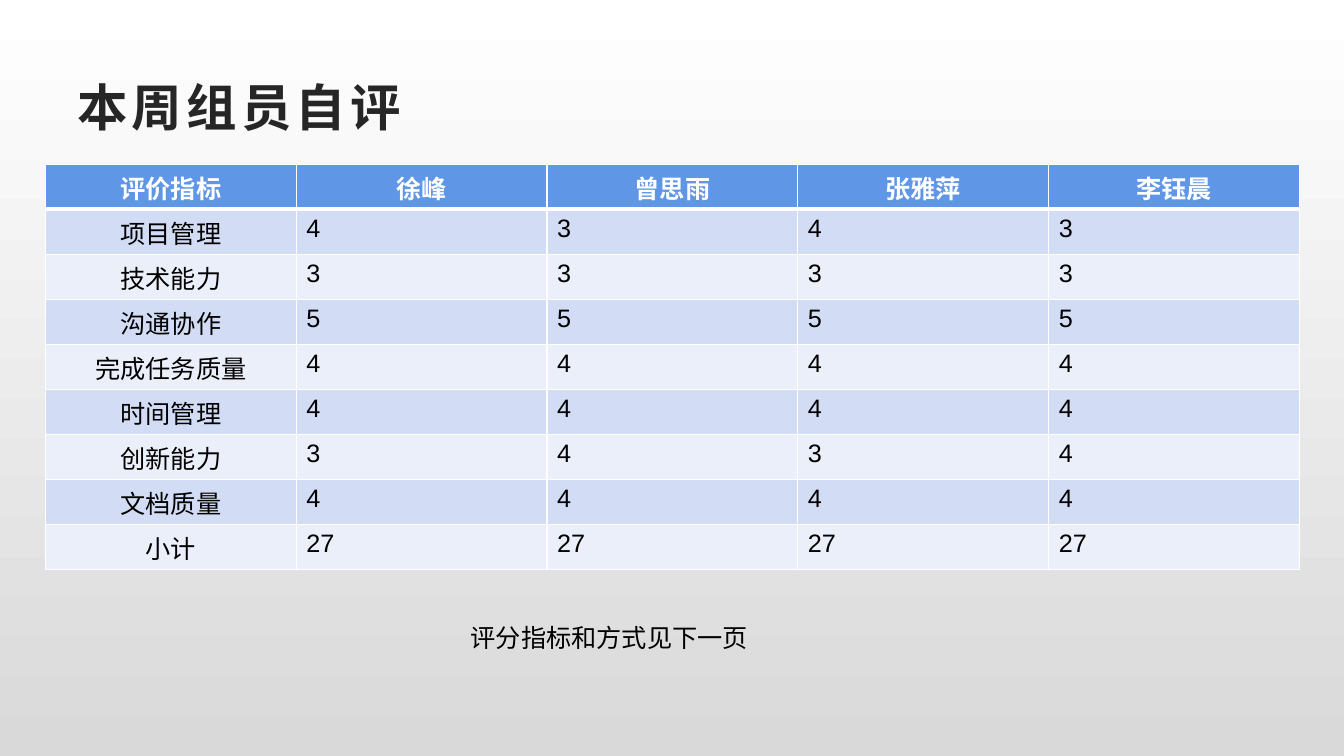
"""Build the weekly self-assessment slide with its score table."""
import lxml.etree
import pptx
import pptx.dml.color
import pptx.enum.text
import pptx.oxml.ns
import pptx.util

TITLE = "本周组员自评"
NOTE = "评分指标和方式见下一页"
SCORES = [
    ("评价指标", "徐峰", "曾思雨", "张雅萍", "李钰晨"),
    ("项目管理", 4, 3, 4, 3),
    ("技术能力", 3, 3, 3, 3),
    ("沟通协作", 5, 5, 5, 5),
    ("完成任务质量", 4, 4, 4, 4),
    ("时间管理", 4, 4, 4, 4),
    ("创新能力", 3, 4, 3, 4),
    ("文档质量", 4, 4, 4, 4),
    ("小计", 27, 27, 27, 27),
]

Inches, Pt = pptx.util.Inches, pptx.util.Pt
RGBColor = pptx.dml.color.RGBColor
ALIGN = pptx.enum.text.PP_ALIGN
ANCHOR = pptx.enum.text.MSO_ANCHOR
AUTO_SIZE = pptx.enum.text.MSO_AUTO_SIZE
qn = pptx.oxml.ns.qn

WHITE = RGBColor(0xFF, 0xFF, 0xFF)
BLACK = RGBColor(0x00, 0x00, 0x00)
CHARCOAL = RGBColor(0x26, 0x26, 0x26)
SILVER = RGBColor(0xD9, 0xD9, 0xD9)
HEADER_BLUE = RGBColor(0x60, 0x96, 0xE6)
BANDS = (RGBColor(0xEA, 0xEF, 0xFA), RGBColor(0xD2, 0xDD, 0xF5))

SLIDE_SIZE = (13.33, 7.5)
TITLE_AREA = (0.67, 0.67, 12, 0.77)
TABLE_AREA = (0.45, 1.63, 12.44, 4.02)
NOTE_AREA = (4.57, 6.12, 3.92, 0.4)

TITLE_FONT = {"name": "Arial", "size": Pt(36), "bold": True}
HEADER_FONT = {"name": "Arial", "size": Pt(18), "bold": True}
BODY_FONT = {"name": "Arial", "size": Pt(18), "bold": False}
TITLE_FRAME = {"word_wrap": True, "vertical_anchor": ANCHOR.MIDDLE}
NOTE_FRAME = {"word_wrap": True, "auto_size": AUTO_SIZE.SHAPE_TO_FIT_TEXT}
LETTER_SPACING = 3
THIN, THICK = 1, 3


def apply(target, values):
    for name, value in values.items():
        setattr(target, name, value)


def write(frame, text, font, color, align=ALIGN.LEFT):
    para = frame.paragraphs[0]
    para.alignment = align
    span = para.add_run()
    span.text = str(text)
    apply(span.font, font)
    span.font.color.rgb = color
    return span


def add_text(page, area, text, font, color, frame_values):
    box = page.shapes.add_textbox(*map(Inches, area))
    apply(box.text_frame, frame_values)
    return write(box.text_frame, text, font, color)


def add_borders(cell, widths):
    properties = cell._tc.get_or_add_tcPr()
    for position, (side, width) in enumerate(widths.items()):
        line = lxml.etree.Element(qn(f"a:{side}"), w=str(Pt(width)))
        fill = lxml.etree.SubElement(line, qn("a:solidFill"))
        lxml.etree.SubElement(fill, qn("a:srgbClr"), val=str(WHITE))
        properties.insert(position, line)


def add_scores(page):
    row_count, column_count = len(SCORES), len(SCORES[0])
    area = map(Inches, TABLE_AREA)
    table = page.shapes.add_table(row_count, column_count, *area).table
    for column in table.columns:
        column.width = Inches(TABLE_AREA[2] / column_count)
    for row in table.rows:
        row.height = Inches(TABLE_AREA[3] / row_count)
    for i, values in enumerate(SCORES):
        header = i == 0
        font, color = (HEADER_FONT, WHITE) if header else (BODY_FONT, BLACK)
        for j, value in enumerate(values):
            cell = table.cell(i, j)
            cell.fill.solid()
            cell.fill.fore_color.rgb = HEADER_BLUE if header else BANDS[i % 2]
            align = ALIGN.CENTER if header or j == 0 else ALIGN.LEFT
            write(cell.text_frame, value, font, color, align)
            add_borders(cell, {"lnL": THIN, "lnR": THIN,
                               "lnT": THICK if i == 1 else THIN,
                               "lnB": THICK if header else THIN})


def paint_background(page):
    fill = page.background.fill
    fill.gradient()
    fill.gradient_angle = 270
    for stop, color in zip(fill.gradient_stops, (WHITE, SILVER)):
        stop.color.rgb = color


def main():
    deck = pptx.Presentation()
    deck.slide_width, deck.slide_height = map(Inches, SLIDE_SIZE)
    page = deck.slides.add_slide(deck.slide_layouts[6])
    paint_background(page)
    title = add_text(page, TITLE_AREA, TITLE, TITLE_FONT, CHARCOAL, TITLE_FRAME)
    title.font._element.set("spc", str(LETTER_SPACING * 100))
    add_scores(page)
    add_text(page, NOTE_AREA, NOTE, BODY_FONT, BLACK, NOTE_FRAME)
    deck.save("out.pptx")


if __name__ == "__main__":
    main()
